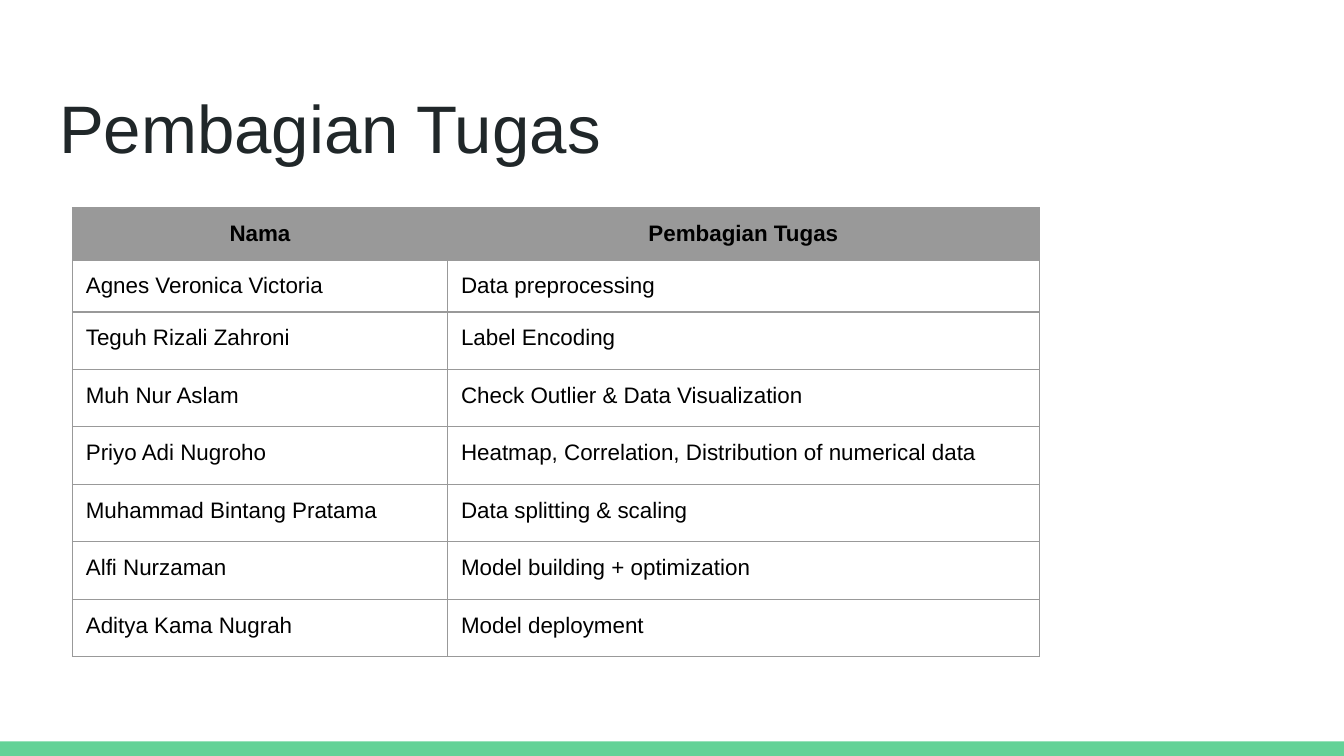
from lxml.etree import SubElement
from pptx import Presentation
from pptx.dml.color import RGBColor
from pptx.enum.shapes import MSO_SHAPE
from pptx.enum.text import MSO_ANCHOR, MSO_AUTO_SIZE, PP_ALIGN
from pptx.oxml.ns import qn
from pptx.util import Pt

TITLE = "Pembagian Tugas"
HEADERS = ("Nama", "Pembagian Tugas")
TASKS = [
    ("Agnes Veronica Victoria", "Data preprocessing"),
    ("Teguh Rizali Zahroni", "Label Encoding"),
    ("Muh Nur Aslam", "Check Outlier & Data Visualization"),
    ("Priyo Adi Nugroho", "Heatmap, Correlation, Distribution of numerical data"),
    ("Muhammad Bintang Pratama", "Data splitting & scaling"),
    ("Alfi Nurzaman", "Model building + optimization"),
    ("Aditya Kama Nugrah", "Model deployment"),
]
COLORS = {"title": "202729", "text": "000000", "grid": "999999", "bar": "63D297"}
FONT = "Arial"
SLIDE_WIDTH, SLIDE_HEIGHT = 720, 405
BAR_HEIGHT = 7.8
TABLE_LEFT, TABLE_TOP = 38.8, 111.4
COLUMN_WIDTHS = (201, 317)
ROW_HEIGHTS = [21.6] * 2 + [30.8] * 6
PADDING = 7.2


def color(name):
    return RGBColor.from_string(COLORS[name])


def format_paragraph(paragraph, size, color_name, bold=False, alignment=PP_ALIGN.LEFT):
    paragraph.alignment = alignment
    paragraph.font.name = FONT
    paragraph.font.size = Pt(size)
    paragraph.font.bold = bold
    paragraph.font.color.rgb = color(color_name)


def add_borders(cell):
    """Draw all four cell edges; they must precede the fill in the XML."""
    properties = cell._tc.get_or_add_tcPr()
    for position, edge in enumerate(("a:lnL", "a:lnR", "a:lnT", "a:lnB")):
        line = SubElement(properties, qn(edge), w=str(Pt(0.75)))
        fill = SubElement(line, qn("a:solidFill"))
        SubElement(fill, qn("a:srgbClr"), val=COLORS["grid"])
        properties.insert(position, line)


def add_bar(slide):
    bar = slide.shapes.add_shape(
        MSO_SHAPE.RECTANGLE, 0, Pt(SLIDE_HEIGHT - BAR_HEIGHT), Pt(SLIDE_WIDTH), Pt(BAR_HEIGHT)
    )
    bar.shadow.inherit = False
    bar.fill.solid()
    bar.fill.fore_color.rgb = color("bar")
    bar.line.fill.background()


def fill_title(slide):
    title = slide.shapes.title
    title.left, title.top, title.width, title.height = Pt(24.5), Pt(35), Pt(671), Pt(45.4)
    frame = title.text_frame
    frame.text = TITLE
    frame.word_wrap = True
    frame.auto_size = MSO_AUTO_SIZE.NONE
    frame.vertical_anchor = MSO_ANCHOR.TOP
    frame.margin_left = frame.margin_right = frame.margin_bottom = Pt(PADDING)
    frame.margin_top = Pt(11)
    format_paragraph(frame.paragraphs[0], 36, "title")


def add_task_table(slide):
    rows = [HEADERS, *TASKS]
    table = slide.shapes.add_table(
        len(rows), len(HEADERS), Pt(TABLE_LEFT), Pt(TABLE_TOP),
        Pt(sum(COLUMN_WIDTHS)), Pt(sum(ROW_HEIGHTS)),
    ).table
    table.horz_banding = False
    for column, width in zip(table.columns, COLUMN_WIDTHS):
        column.width = Pt(width)
    for row_index, (row, texts, height) in enumerate(zip(table.rows, rows, ROW_HEIGHTS)):
        row.height = Pt(height)
        is_header = row_index == 0
        for cell, text in zip(row.cells, texts):
            cell.text = text
            cell.margin_left = cell.margin_right = Pt(PADDING)
            cell.margin_top = cell.margin_bottom = Pt(PADDING)
            alignment = PP_ALIGN.CENTER if is_header else PP_ALIGN.LEFT
            format_paragraph(cell.text_frame.paragraphs[0], 12, "text", is_header, alignment)
            if is_header:
                cell.fill.solid()
                cell.fill.fore_color.rgb = color("grid")
            else:
                cell.fill.background()
            add_borders(cell)


def main():
    presentation = Presentation()
    presentation.slide_width, presentation.slide_height = Pt(SLIDE_WIDTH), Pt(SLIDE_HEIGHT)
    slide = presentation.slides.add_slide(presentation.slide_layouts.get_by_name("Title Only"))
    add_bar(slide)
    fill_title(slide)
    add_task_table(slide)
    presentation.save("out.pptx")


if __name__ == "__main__":
    main()
